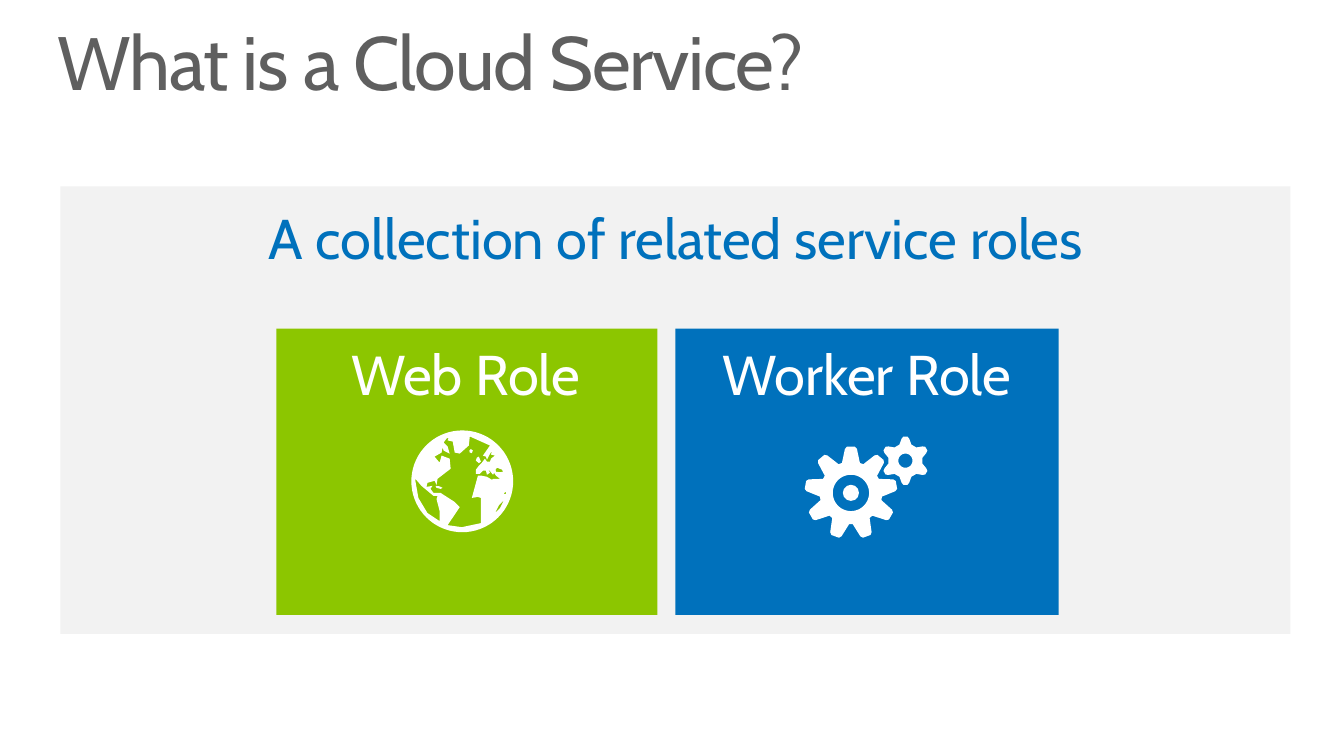
from math import cos, radians, sin

from pptx import Presentation
from pptx import util as u
from pptx.dml.color import RGBColor
from pptx.enum import shapes, text

WHITE, GREEN, BLUE = "FFFFFF", "8CC600", "0071BC"
PANEL, GREY = "F2F2F2", "5F5F5F"

GLOBE_CENTER, GLOBE_RADIUS = (4.585, 4.775), 0.505
GLOBE_ORIGIN = (4.0, 4.2)
GLOBE_OUTLINES = {
    "atlantic": """77,99 77,74 74,73 68,74 74,52 78,52 83,53 88,56 89,55 96,55 92,52 90,49
        89,51 84,45 86,49 83,51 82,47 79,47 76,50 72,50 72,46 75,42 78,39 81,35 83,38 86,38
        87,35 91,32 87,31 88,27 85,32 83,36 82,33 79,32 86,22 66,13 65,22 56,30 51,29 49,18
        44,17 45,14 43,15 40,19 44,23 46,30 40,27 39,24 38,29 31,33 36,39 38,32 46,35 47,45
        34,55 33,61 31,57 24,59 23,63 29,62 27,65 30,69 37,69 51,78 56,83 44,101 58,103""",
    "indian ocean": "102,68 100,69 95,57 100,70 102,70",
    "southern coast": "100,76 95,81 91,89 96,84",
    "pacific": "36,97 36,87 33,75 34,72 30,72 24,67 18,62 12,55 12,57 15,74 24,89",
    "iceland": "66,29 68,29.5 69,27 67,25.5 65.5,27",
    "britain": "75,33 77,38 75,39.5 72,37 73,34",
    "inland sea": "92,48 91.5,46 93,44 98,46 99,48 96,48.5",
    "cuba": "32,62 36,62.5 39,64 37,65 33,64",
}


def color(value):
    return RGBColor.from_string(value)


def ring(center, radius, count=72):
    return polar(center, [(radius, 360 * step / count) for step in range(count)])


def polar(center, points):
    x, y = center
    return [(x + r * sin(radians(a)), y - r * cos(radians(a))) for r, a in points]


def gear(center, teeth, profile, hole):
    half_tooth = [(radius, angle) for radius, angle in profile]
    tooth = [(r, -a) for r, a in half_tooth] + half_tooth[::-1]
    turns = [360 * index / teeth for index in range(teeth)]
    edge = [(r, a + turn) for turn in turns for r, a in tooth]
    return [polar(center, edge), ring(center, hole)]


def globe():
    left, top = GLOBE_ORIGIN
    outlines = [ring(GLOBE_CENTER, GLOBE_RADIUS)]
    for outline in GLOBE_OUTLINES.values():
        pairs = [pair.split(",") for pair in outline.split()]
        outlines.append([(left + float(x) / 100, top + float(y) / 100) for x, y in pairs])
    return outlines


def write(frame, words, size, fill, align=text.PP_ALIGN.LEFT, line=None, before=None, tracking=None):
    paragraph = frame.paragraphs[0]
    paragraph.alignment = align
    paragraph.line_spacing = line
    paragraph.space_before = before
    run = paragraph.add_run()
    run.text = words
    run.font.name = "Cabin"
    run.font.size = u.Pt(size)
    run.font.color.rgb = color(fill)
    if tracking:
        run._r.get_or_add_rPr().set("spc", str(tracking))


class Canvas:
    def __init__(self, slide):
        self.slide = slide

    def paint(self, shape, fill):
        shape.shadow.inherit = False
        shape.fill.solid()
        shape.fill.fore_color.rgb = color(fill)
        shape.line.fill.background()

    def preset(self, kind, box, fill, group=None):
        container = (group or self.slide).shapes
        shape = container.add_shape(kind, *map(u.Inches, box))
        self.paint(shape, fill)

    def outline(self, contours, fill, group=None):
        contours = [[(u.Inches(x), u.Inches(y)) for x, y in points] for points in contours]
        container = (group or self.slide).shapes
        builder = container.build_freeform(*contours[0][0], scale=1.0)
        for index, points in enumerate(contours):
            if index:
                builder.move_to(*points[0])
            builder.add_line_segments(points[1:], close=True)
        self.paint(builder.convert_to_shape(), fill)

    def label(self, box, words, size, fill, **style):
        frame = self.slide.shapes.add_textbox(*map(u.Inches, box)).text_frame
        frame.word_wrap = True
        frame.auto_size = text.MSO_AUTO_SIZE.SHAPE_TO_FIT_TEXT
        frame.margin_left = frame.margin_right = frame.margin_top = frame.margin_bottom = 0
        write(frame, words, size, fill, **style)


def main():
    presentation = Presentation()
    presentation.slide_width = u.Inches(13.33)
    presentation.slide_height = u.Inches(7.5)
    slide = presentation.slides.add_slide(presentation.slide_layouts[6])
    canvas = Canvas(slide)
    rectangle, ellipse = shapes.MSO_SHAPE.RECTANGLE, shapes.MSO_SHAPE.OVAL
    center = text.PP_ALIGN.CENTER

    canvas.preset(rectangle, (0.6, 1.85, 12.2, 4.44), PANEL)
    canvas.label((0.57, 0.25, 12.19, 0.82), "What is a Cloud Service?", 54, GREY,
                 line=0.9, tracking=-100)
    canvas.label((0.6, 2.02, 12.2, 0.67), "A collection of related service roles", 40, BLUE,
                 align=center, before=u.Pt(12))

    roles = [("Web Role", 2.74, 3.78, 2.72, GREEN), ("Worker Role", 6.7, 3.8, 6.7, BLUE)]
    for name, left, width, label_left, fill in roles:
        canvas.preset(rectangle, (left, 3.26, width, 2.84), fill)
        canvas.label((label_left, 3.44, 3.8, 0.61), name, 40, WHITE,
                     align=center, line=0.9, before=u.Pt(8))

    canvas.outline(globe(), WHITE)
    gears = slide.shapes.add_group_shape()
    large_tooth = [(0.31, 16.7), (0.44, 7.8), (0.46, 5)]
    small_tooth = [(0.17, 20.5), (0.22, 10), (0.24, 5)]
    canvas.outline(gear((8.44, 4.89), 9, large_tooth, 0.18), WHITE, gears)
    canvas.preset(ellipse, (8.36, 4.81, 0.16, 0.16), WHITE, gears)
    canvas.outline(gear((8.98, 4.57), 6, small_tooth, 0.07), WHITE, gears)

    presentation.save("out.pptx")


if __name__ == "__main__":
    main()
